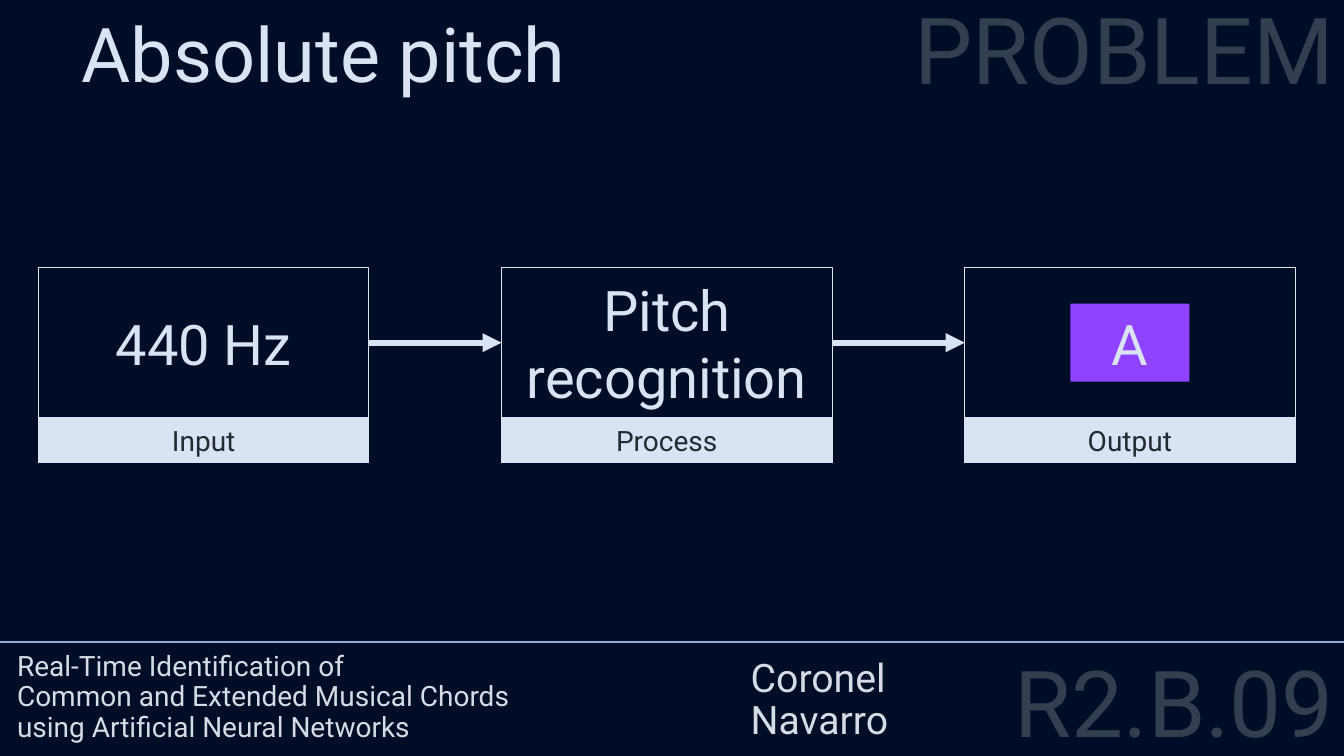
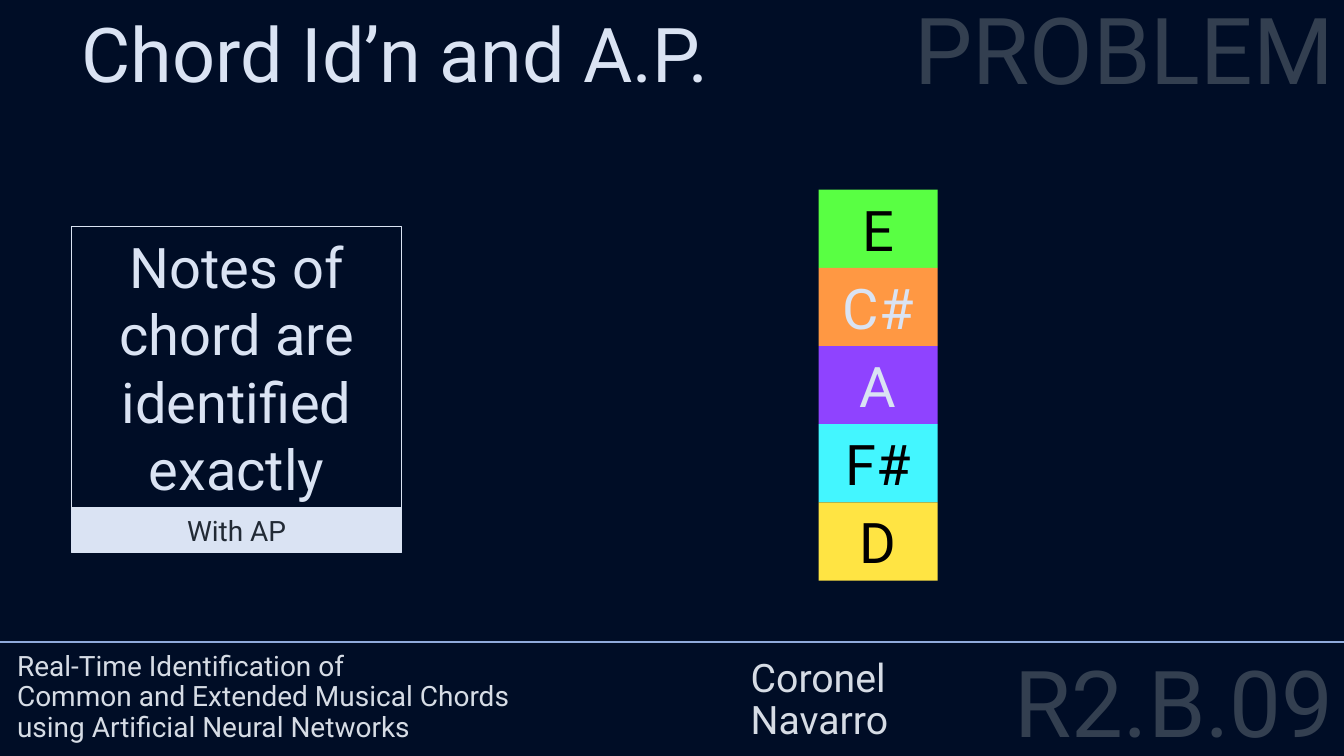
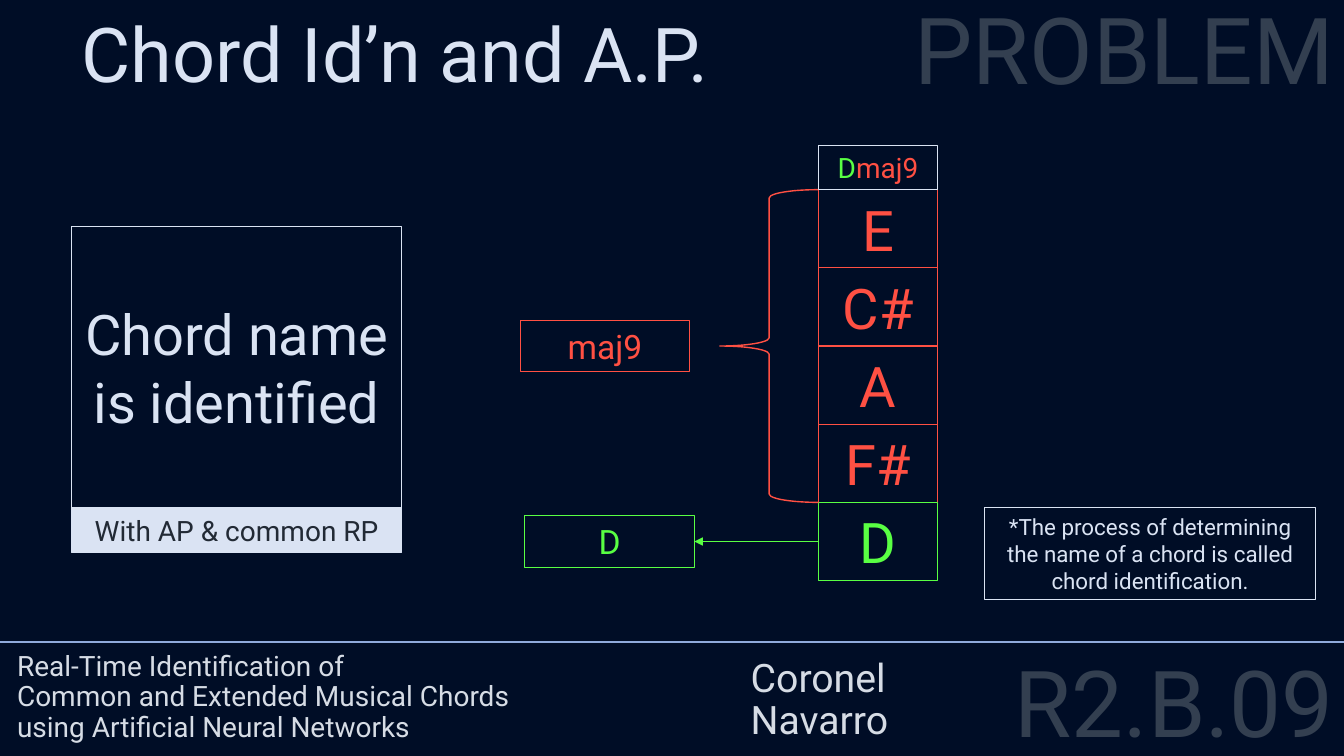
from dataclasses import dataclass

from pptx import Presentation
from pptx.dml.color import RGBColor
from pptx.enum.shapes import MSO_CONNECTOR, MSO_SHAPE
from pptx.enum.text import MSO_ANCHOR as Anchor, MSO_AUTO_SIZE as AutoSize, PP_ALIGN as Align
from pptx.oxml.ns import qn
from pptx.util import Cm, Pt
from lxml.etree import SubElement


@dataclass(frozen=True)
class Theme:
    """Colours, font and type sizes of the deck."""
    font: str = "Roboto"
    background: str = "000D26"
    light: str = "DAE3F3"
    dark: str = "222A35"
    black: str = "000000"
    faded: str = "333F50"
    footer: str = "D6DCE5"
    rule: str = "8FAADC"
    red: str = "FF5043"
    green: str = "59FF43"
    orange: str = "FF9843"
    violet: str = "8F43FF"
    cyan: str = "43F6FF"
    yellow: str = "FFE443"
    label_size: int = 66
    title_size: int = 54
    large_size: int = 40
    author_size: int = 28
    medium_size: int = 24
    small_size: int = 20
    remark_size: int = 16
    thin: float = 0.75


@dataclass(frozen=True)
class Box:
    """A rectangle in centimetres."""
    left: float
    top: float
    width: float
    height: float

    @property
    def right(self):
        """Return the right edge."""
        return self.left + self.width

    @property
    def bottom(self):
        """Return the lower edge."""
        return self.top + self.height

    @property
    def middle(self):
        """Return the vertical centre."""
        return self.top + self.height / 2

    def lengths(self):
        """Return the four lengths for python-pptx."""
        return Cm(self.left), Cm(self.top), Cm(self.width), Cm(self.height)

    def centred(self, width, height):
        """Return a box of the given size centred in this one."""
        return Box(self.left + (self.width - width) / 2, self.middle - height / 2, width, height)


THEME = Theme()
PAGE = Box(0, 0, 33.87, 19.05)
CODE = Box(21.49, 16.66, 12.38, 2.64)
SECTION = Box(5.64, 0, 28.23, 9.1)
TITLE = Box(1.8, 0.05, 19.96, 2.57)
PROJECT = Box(0.18, 11.25, 18.49, 7.6)
AUTHORS = Box(18.67, 11.25, 12.95, 7.6)
RULE_TOP = 16.18
FLOW = Box(0.97, 6.74, 31.67, 4.91)
CARD = Box(1.8, 5.7, 8.33, 8.22)
CAPTION_HEIGHT = 1.12
TILE_WIDTH, TILE_HEIGHT = 3.0, 1.97
NOTES = ("E", "C#", "A", "F#", "D")
STACK = Box(20.63, 4.78, TILE_WIDTH, TILE_HEIGHT * len(NOTES))
REMARK = Box(24.82, 12.8, 8.33, 2.31)
TAG_WIDTH, TAG_HEIGHT = 4.27, 1.3


def colour(value):
    """Return the colour object of a hex value."""
    return RGBColor.from_string(value)


def add_run(paragraph, text, size, ink):
    """Add one formatted run to a paragraph."""
    run = paragraph.add_run()
    run.text = text
    run.font.name = THEME.font
    run.font.size = Pt(size)
    run.font.color.rgb = colour(ink)


def prepare_frame(shape, anchor):
    """Make the text of a shape wrap at a fixed size."""
    frame = shape.text_frame
    frame.auto_size = AutoSize.NONE
    frame.word_wrap = True
    frame.vertical_anchor = anchor
    return frame


def format_paragraph(paragraph, align, spacing):
    """Set alignment and spacing of a paragraph."""
    paragraph.alignment = align
    paragraph.line_spacing = spacing
    paragraph.space_before = Pt(0)


def fill_placeholder(placeholder, box, text, size, ink, align, spacing):
    """Move a placeholder to its box and write its text."""
    placeholder.left, placeholder.top, placeholder.width, placeholder.height = box.lengths()
    paragraph = prepare_frame(placeholder, Anchor.TOP).paragraphs[0]
    format_paragraph(paragraph, align, spacing)
    add_run(paragraph, text, size, ink)


def add_label(slide, box, paragraphs, size, ink, align=Align.LEFT, anchor=Anchor.BOTTOM):
    """Add a text box whose paragraphs are lists of lines."""
    frame = prepare_frame(slide.shapes.add_textbox(*box.lengths()), anchor)
    for index, lines in enumerate(paragraphs):
        paragraph = frame.add_paragraph() if index else frame.paragraphs[0]
        format_paragraph(paragraph, align, 0.9)
        for number, line in enumerate(lines):
            if number:
                paragraph.add_line_break()
            add_run(paragraph, line, size, ink)


def add_panel(slide, box, runs=(), size=THEME.large_size, fill=None, line=None,
              preset=MSO_SHAPE.RECTANGLE, weight=THEME.thin):
    """Add a shape with centred text given as pairs of text and colour."""
    shape = slide.shapes.add_shape(preset, *box.lengths())
    shape.shadow.inherit = False
    if fill:
        shape.fill.solid()
        shape.fill.fore_color.rgb = colour(fill)
    else:
        shape.fill.background()
    if line:
        shape.line.color.rgb = colour(line)
        shape.line.width = Pt(weight)
    else:
        shape.line.fill.background()
    if runs:
        paragraph = prepare_frame(shape, Anchor.MIDDLE).paragraphs[0]
        paragraph.alignment = Align.CENTER
        for text, ink in runs:
            add_run(paragraph, text, size, ink)


def add_line(slide, start, end, top, ink, weight, arrow=False):
    """Add a level line, with an arrowhead at its end if asked."""
    connector = slide.shapes.add_connector(
        MSO_CONNECTOR.STRAIGHT, Cm(start), Cm(top), Cm(end), Cm(top))
    connector.line.color.rgb = colour(ink)
    connector.line.width = Pt(weight)
    if arrow:
        SubElement(connector.line._get_or_add_ln(), qn("a:tailEnd"), type="triangle")
    SubElement(connector._element.spPr, qn("a:effectLst"))


def add_card(slide, box, text, caption):
    """Add an outlined card with a caption bar and return its upper part."""
    body = Box(box.left, box.top, box.width, box.height - CAPTION_HEIGHT)
    bar = Box(box.left, body.bottom, box.width, CAPTION_HEIGHT)
    add_panel(slide, body, [(text, THEME.light)] if text else (), line=THEME.light)
    add_panel(slide, bar, [(caption, THEME.dark)], THEME.small_size, THEME.light, THEME.light)
    return body


def add_stack(slide, box, styles):
    """Stack the notes in a box, each with its ink, fill and line."""
    height = box.height / len(NOTES)
    for index, (note, (ink, fill, line)) in enumerate(zip(NOTES, styles)):
        tile = Box(box.left, box.top + index * height, box.width, height)
        add_panel(slide, tile, [(note, ink)], fill=fill, line=line)


def add_base_slide(presentation, title):
    """Add a slide with the title, section label and footer."""
    slide = presentation.slides.add_slide(presentation.slide_layouts[0])
    fill_placeholder(slide.shapes.title, TITLE, title, THEME.title_size, THEME.light,
                     Align.LEFT, 1.0)
    fill_placeholder(slide.placeholders[1], CODE, "R2.B.09", THEME.label_size, THEME.faded,
                     Align.RIGHT, 0.8)
    add_line(slide, PAGE.left, PAGE.right, RULE_TOP, THEME.rule, 1.5)
    add_label(slide, SECTION, [["PROBLEM"]], THEME.label_size, THEME.faded,
              Align.RIGHT, Anchor.TOP)
    add_label(slide, AUTHORS, [["Coronel"], ["Navarro"]], THEME.author_size, THEME.footer)
    add_label(slide, PROJECT, [["Real-Time Identification of",
                                "Common and Extended Musical Chords",
                                "using Artificial Neural Networks"]],
              THEME.small_size, THEME.footer)
    return slide


def add_flow(slide, box):
    """Add the row of input, process and output cards joined by arrows."""
    steps = [("440 Hz", "Input"), ("Pitch recognition", "Process"), ("", "Output")]
    gap = (box.width - len(steps) * CARD.width) / (len(steps) - 1)
    for index, (text, caption) in enumerate(steps):
        left = box.left + index * (CARD.width + gap)
        body = add_card(slide, Box(left, box.top, CARD.width, box.height), text, caption)
        if index:
            add_line(slide, left - gap, left, body.middle, THEME.light, 4.5, True)
    add_panel(slide, body.centred(TILE_WIDTH, TILE_HEIGHT), [("A", THEME.light)],
              fill=THEME.violet)


def add_chord_name(slide, box):
    """Add the outlined notes with the parts of the chord name around them."""
    upper = Box(box.left, box.top, box.width, box.height - TILE_HEIGHT)
    root = Box(box.left, upper.bottom, box.width, TILE_HEIGHT)
    brace = Box(box.left - 2.49, box.top, 2.49, upper.height)
    quality_tag = Box(box.left - 7.52, upper.middle - TAG_HEIGHT / 2, TAG_WIDTH, TAG_HEIGHT)
    root_tag = Box(box.left - 7.4, root.middle - TAG_HEIGHT / 2, TAG_WIDTH, TAG_HEIGHT)
    name = Box(box.left, box.top - CAPTION_HEIGHT, box.width, CAPTION_HEIGHT)
    inks = [THEME.red] * (len(NOTES) - 1) + [THEME.green]
    add_stack(slide, box, [(ink, None, ink) for ink in inks])
    add_panel(slide, brace, line=THEME.red, preset=MSO_SHAPE.LEFT_BRACE, weight=1)
    add_panel(slide, quality_tag, [("maj9", THEME.red)], THEME.medium_size, line=THEME.red)
    add_panel(slide, root_tag, [("D", THEME.green)], THEME.medium_size, line=THEME.green)
    add_line(slide, root.left, root_tag.right, root.middle, THEME.green, 1, True)
    add_panel(slide, name, [("D", THEME.green), ("maj9", THEME.red)], THEME.small_size,
              line=THEME.light)


def build_pitch_slide(presentation):
    """Build the slide on absolute pitch."""
    add_flow(add_base_slide(presentation, "Absolute pitch"), FLOW)


def build_notes_slide(presentation):
    """Build the slide on the notes of a chord."""
    slide = add_base_slide(presentation, "Chord Id’n and A.P.")
    add_card(slide, CARD, "Notes of chord are identified exactly", "With AP")
    inks = (THEME.black, THEME.light, THEME.light, THEME.black, THEME.black)
    fills = (THEME.green, THEME.orange, THEME.violet, THEME.cyan, THEME.yellow)
    add_stack(slide, STACK, [(ink, fill, None) for ink, fill in zip(inks, fills)])


def build_name_slide(presentation):
    """Build the slide on the name of a chord."""
    slide = add_base_slide(presentation, "Chord Id’n and A.P.")
    add_card(slide, CARD, "Chord name is identified", "With AP & common RP")
    add_chord_name(slide, STACK)
    remark = ("*The process of determining the name of a chord "
              "is called chord identification.")
    add_panel(slide, REMARK, [(remark, THEME.light)], THEME.remark_size, line=THEME.light)


def main():
    """Build and save the presentation."""
    presentation = Presentation()
    presentation.slide_width, presentation.slide_height = Cm(PAGE.width), Cm(PAGE.height)
    backdrop = presentation.slide_master.background.fill
    backdrop.solid()
    backdrop.fore_color.rgb = colour(THEME.background)
    build_pitch_slide(presentation)
    build_notes_slide(presentation)
    build_name_slide(presentation)
    presentation.save("out.pptx")


if __name__ == "__main__":
    main()
